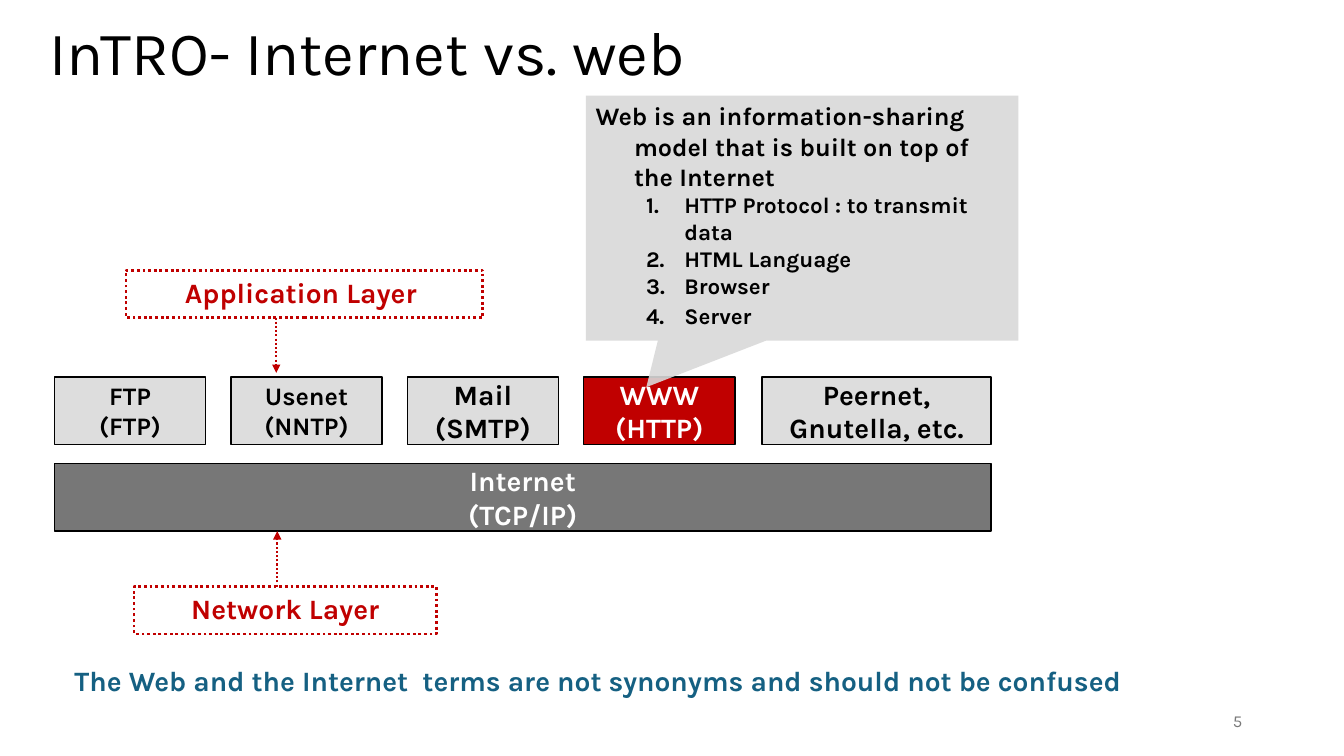
"""Build a slide contrasting the Internet with the Web."""
from dataclasses import dataclass

import lxml.etree
import pptx
import pptx.dml.color
import pptx.enum.dml
import pptx.enum.shapes
import pptx.enum.text
import pptx.oxml.ns
import pptx.util

PX = 9144
FONT = "Karla"
COLORS = {
    "black": "000000", "white": "FFFFFF", "red": "C00000", "light": "DDDDDD",
    "dark": "777777", "callout": "D9D9D9", "blue": "156082", "number": "797979",
}
SHAPE = pptx.enum.shapes.MSO_SHAPE
ALIGN = pptx.enum.text.PP_ALIGN
ANCHOR = pptx.enum.text.MSO_ANCHOR
qn = pptx.oxml.ns.qn


@dataclass
class Box:
    text: str
    left: int
    top: int
    width: int
    height: int
    size: int
    fill: str | None = "light"
    color: str = "black"
    line: str = "black"


@dataclass
class Label:
    text: str
    left: int
    top: int
    width: int
    height: int
    size: int
    color: str
    bold: bool = False
    align: ALIGN = ALIGN.LEFT
    anchor: ANCHOR = ANCHOR.MIDDLE
    spacing: float = 1.0


@dataclass
class Arrow:
    x: int
    start: int
    end: int


PROTOCOLS = [
    ("FTP\n(FTP)", 18), ("Usenet\n(NNTP)", 18), ("Mail\n(SMTP)", 20), ("WWW\n(HTTP)", 20),
]
BOXES = [
    Box(text, 54 + 175 * i, 374, 150, 67, size) for i, (text, size) in enumerate(PROTOCOLS)
] + [
    Box("Peernet,\nGnutella, etc.", 756, 374, 227, 67, 20),
    Box("Internet\n(TCP/IP)", 54, 460, 929, 67, 20, "dark", "white"),
    Box("Network Layer", 133, 582, 300, 47, 20, None, "red", "red"),
    Box("Application Layer ", 125, 268, 354, 47, 20, None, "red", "red"),
]
BOXES[3].fill, BOXES[3].color = "red", "white"
ARROWS = [Arrow(274, 315, 370), Arrow(275, 582, 527)]
LABELS = [
    Label("InTRO- Internet vs. web", 39, -10, 1255, 130, 44, "black", spacing=0.9),
    Label("5", 942, 695, 300, 40, 12, "number", align=ALIGN.RIGHT),
    Label("The Web and the Internet  terms are not synonyms and should not be confused",
          64, 653, 1159, 44, 20, "blue", True, anchor=ANCHOR.TOP),
]
CALLOUT_HEAD = "Web is an information-sharing model that is built on top of the Internet"
CALLOUT_ITEMS = ["HTTP Protocol : to transmit data", "HTML Language", "Browser", "Server"]


def rgb(name: str) -> pptx.dml.color.RGBColor:
    """Return a named colour."""
    return pptx.dml.color.RGBColor.from_string(COLORS[name])


def style_run(r, size: int, color: str, bold: bool) -> None:
    """Set the font of one run."""
    r.font.name = FONT
    r.font.size = pptx.util.Pt(size)
    r.font.bold = bold
    r.font.color.rgb = rgb(color)


def style_line(line, color: str, width: float, dotted: bool) -> None:
    """Set the colour, width and dash of a line."""
    line.color.rgb = rgb(color)
    line.width = pptx.util.Pt(width)
    if dotted:
        line.dash_style = pptx.enum.dml.MSO_LINE.ROUND_DOT


def draw_box(s, box: Box) -> None:
    """Draw a centred box, dotted when it has no fill."""
    sp = s.shapes.add_shape(
        SHAPE.RECTANGLE, box.left * PX, box.top * PX, box.width * PX, box.height * PX)
    sp.shadow.inherit = False
    if box.fill:
        sp.fill.solid()
        sp.fill.fore_color.rgb = rgb(box.fill)
    else:
        sp.fill.background()
    style_line(sp.line, box.line, 1 if box.fill else 2, box.fill is None)
    tf = sp.text_frame
    tf.text = box.text
    tf.word_wrap = box.fill is None
    tf.vertical_anchor = ANCHOR.MIDDLE if box.fill else ANCHOR.TOP
    for p in tf.paragraphs:
        p.alignment = ALIGN.CENTER
        style_run(p.runs[0], box.size, box.color, True)


def draw_label(s, label: Label) -> None:
    """Draw a plain line of text."""
    tf = s.shapes.add_textbox(
        label.left * PX, label.top * PX, label.width * PX, label.height * PX).text_frame
    tf.word_wrap = True
    tf.vertical_anchor = label.anchor
    tf.text = label.text
    p = tf.paragraphs[0]
    p.alignment = label.align
    p.line_spacing = label.spacing
    style_run(p.runs[0], label.size, label.color, label.bold)


def draw_arrow(s, arrow: Arrow) -> None:
    """Draw a dotted vertical arrow."""
    cx = s.shapes.add_connector(
        pptx.enum.shapes.MSO_CONNECTOR.STRAIGHT,
        arrow.x * PX, arrow.start * PX, arrow.x * PX, arrow.end * PX)
    style_line(cx.line, "red", 1.5, True)
    ln = cx.line._get_or_add_ln()
    lxml.etree.SubElement(ln, qn("a:tailEnd"), type="triangle")
    lxml.etree.SubElement(cx._element.spPr, qn("a:effectLst"))


def indent(p, left: int) -> None:
    """Give a paragraph a hanging indent."""
    pPr = p._p.get_or_add_pPr()
    pPr.set("marL", str(left * PX))
    pPr.set("indent", str(-38 * PX))


def draw_callout(s) -> None:
    """Draw the translucent callout with its numbered list."""
    sp = s.shapes.add_shape(
        SHAPE.RECTANGULAR_CALLOUT, 581 * PX, 95 * PX, 429 * PX, 243 * PX)
    sp.adjustments[0], sp.adjustments[1] = -0.36, 0.69
    sp.shadow.inherit = False
    sp.fill.solid()
    sp.fill.fore_color.rgb = rgb("callout")
    clr = sp._element.spPr.find(qn("a:solidFill"))[0]
    lxml.etree.SubElement(clr, qn("a:alpha"), val="90000")
    sp.line.fill.background()
    tf = sp.text_frame
    tf.word_wrap = True
    tf.vertical_anchor = ANCHOR.TOP
    tf.text = "\n".join([CALLOUT_HEAD, *CALLOUT_ITEMS])
    head, *items = tf.paragraphs
    head.alignment = ALIGN.LEFT
    indent(head, 38)
    style_run(head.runs[0], 18, "black", True)
    for p in items:
        p.alignment = ALIGN.LEFT
        p.level = 1
        indent(p, 88)
        pPr = p._p.get_or_add_pPr()
        lxml.etree.SubElement(pPr, qn("a:buFont"), typeface=FONT)
        lxml.etree.SubElement(pPr, qn("a:buAutoNum"), type="arabicPeriod")
        style_run(p.runs[0], 16, "black", True)
    r = items[-1].add_run()
    r.text = " "
    style_run(r, 18, "black", True)


def main() -> None:
    """Build and save the slide."""
    prs = pptx.Presentation()
    prs.slide_width, prs.slide_height = 1333 * PX, 750 * PX
    s = prs.slides.add_slide(prs.slide_layouts[6])
    for label in LABELS:
        draw_label(s, label)
    for box in BOXES:
        draw_box(s, box)
    for arrow in ARROWS:
        draw_arrow(s, arrow)
    draw_callout(s)
    prs.save("out.pptx")


if __name__ == "__main__":
    main()
